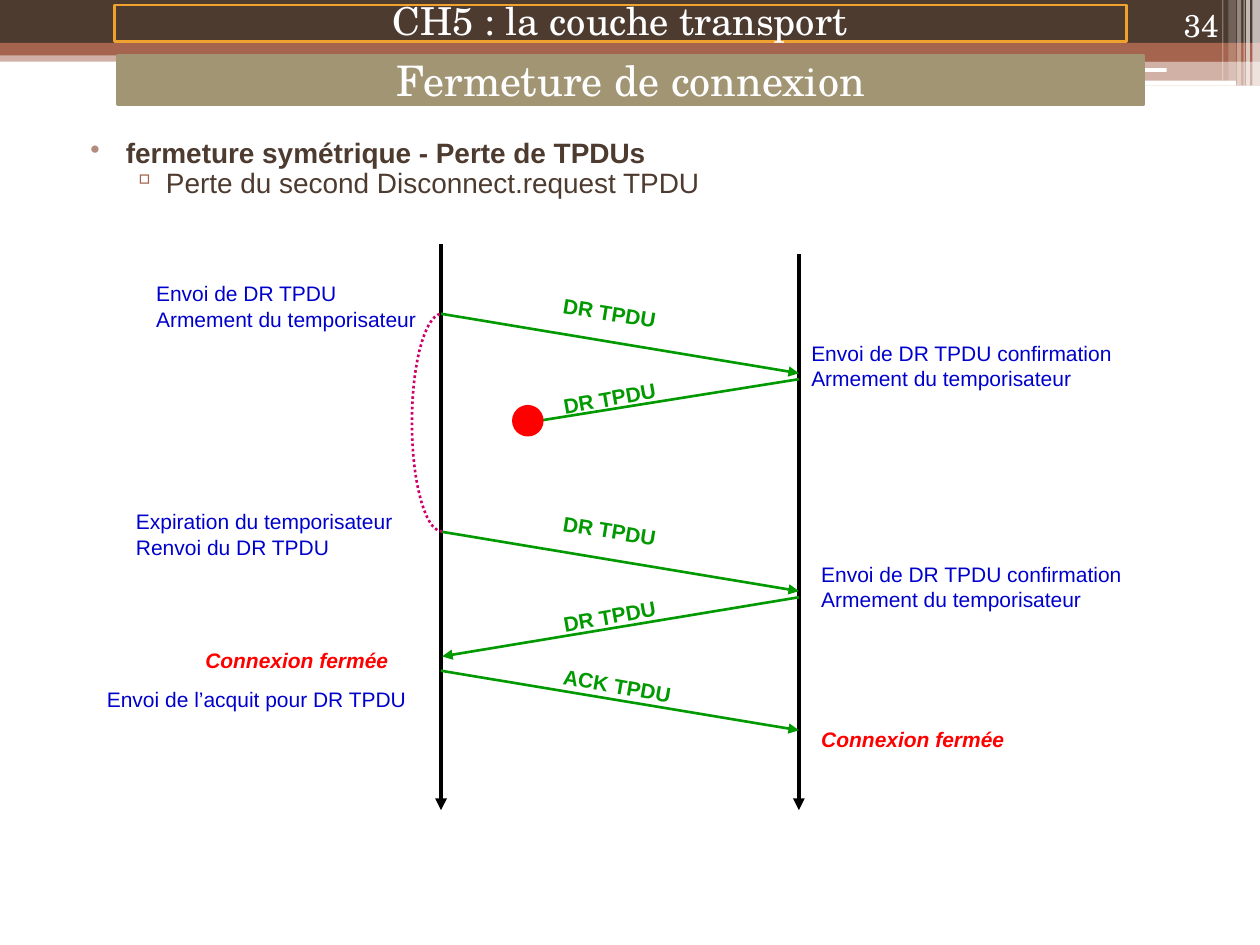
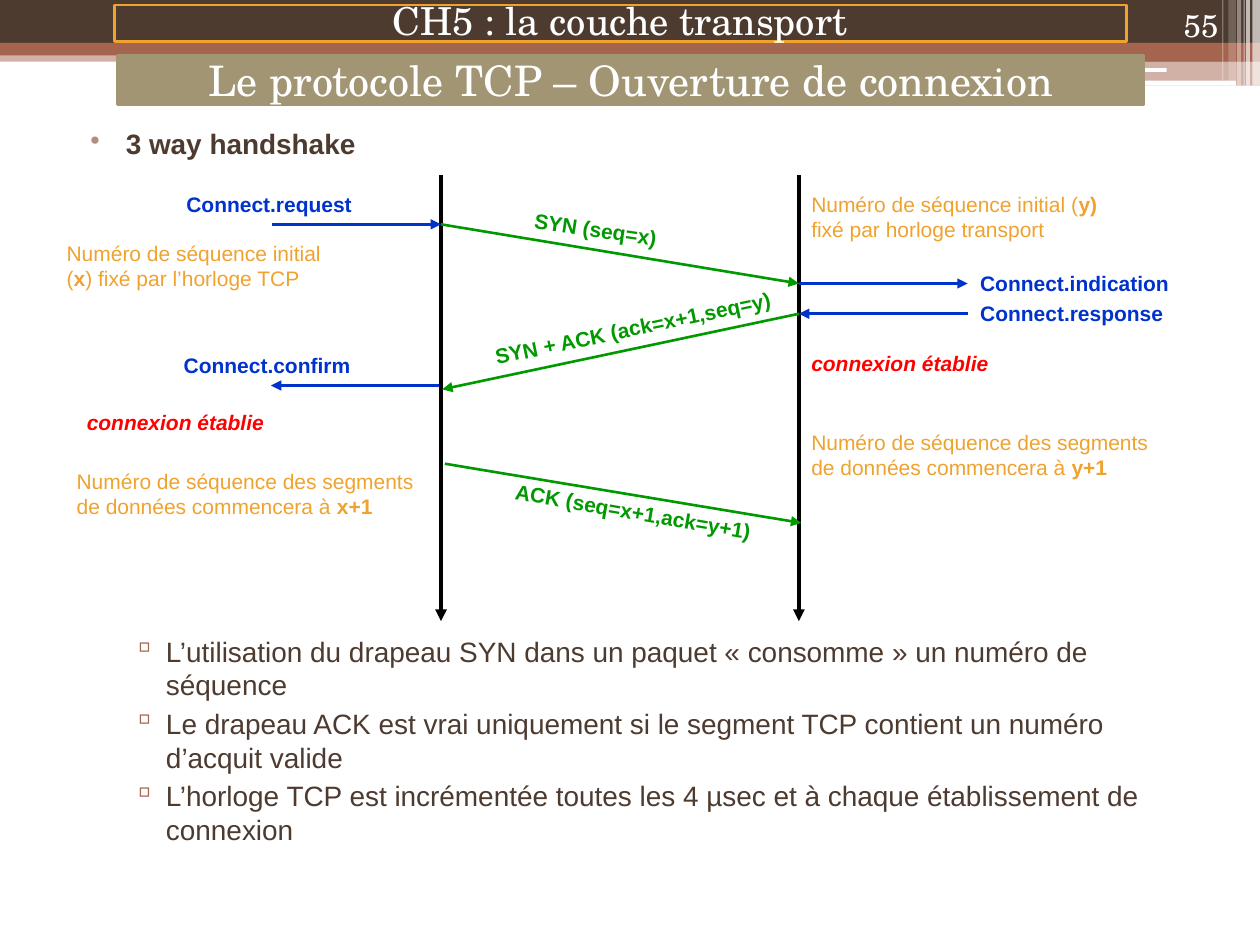
"""Build two course slides about closing and opening transport connections."""
from dataclasses import dataclass

from lxml import etree
from pptx import Presentation
from pptx.dml.color import RGBColor
from pptx.enum.dml import MSO_LINE
from pptx.enum.shapes import MSO_CONNECTOR, MSO_SHAPE
from pptx.enum.text import MSO_ANCHOR, MSO_AUTO_SIZE, PP_ALIGN
from pptx.oxml.ns import qn
from pptx.util import Pt

STRAIGHT = MSO_CONNECTOR.STRAIGHT
RECTANGLE, ROUNDED = MSO_SHAPE.RECTANGLE, MSO_SHAPE.ROUNDED_RECTANGLE
OVAL, ARC = MSO_SHAPE.OVAL, MSO_SHAPE.ARC
DOTTED = MSO_LINE.ROUND_DOT
TOP, MIDDLE, BOTTOM = MSO_ANCHOR.TOP, MSO_ANCHOR.MIDDLE, MSO_ANCHOR.BOTTOM
LEFT, CENTER, RIGHT = PP_ALIGN.LEFT, PP_ALIGN.CENTER, PP_ALIGN.RIGHT
NO_AUTOFIT = MSO_AUTO_SIZE.NONE
TITLE_ONLY = 5

COLORS = {
    "brown": "4E3B30", "rust": "A5644E", "rose": "B58B80", "khaki": "A19574",
    "amber": "F0A22E", "white": "FFFFFF", "black": "000000", "green": "009900",
    "navy": "0000CC", "blue": "0033CC", "red": "FF0000", "magenta": "CC0066",
}
BODY_FONT, HEAD_FONT = "Arial", "TeX Gyre Schola"
SENDER_X, RECEIVER_X = 252, 456.5
LINE, SINGLE, DOUBLE = 1.5, 21.6, 36


@dataclass(frozen=True)
class Style:
    """Look of a piece of text."""
    color: str
    size: float = 12
    font: str = BODY_FONT
    bold: bool = False
    italic: bool = False


@dataclass(frozen=True)
class Band:
    """Plain rectangle of the header decoration."""
    left: float
    top: float
    width: float
    height: float
    color: str = "white"
    alpha: int = 100
    kind: int = RECTANGLE


@dataclass(frozen=True)
class Label:
    """Text placed beside or along an arrow."""
    text: str
    left: float
    top: float
    width: float
    style: Style
    height: float = SINGLE
    rotation: float = 0
    wrap: bool = False
    strong: str = ""


@dataclass(frozen=True)
class Arrow:
    """Straight line with a head at its end."""
    x1: float
    y1: float
    x2: float
    y2: float
    color: str = "green"
    width: float = LINE


@dataclass(frozen=True)
class Bullet:
    """List item with its indents and mark."""
    text: str
    style: Style
    margin: float
    hanging: float
    mark: str
    mark_color: str


TITLE = Style("white", 24, HEAD_FONT)
COURSE = Style("white", 22, HEAD_FONT)
NUMBER = Style("white", 18, HEAD_FONT)
TOPIC = Style("brown", 16, bold=True)
DETAIL = Style("brown", 16)
ACTION = Style("navy")
SEQUENCE = Style("amber")
MESSAGE = Style("green", bold=True)
PRIMITIVE = Style("blue", bold=True)
STATE = Style("red", bold=True, italic=True)

HEADER = [
    Band(0, 28.8, 720, 6.5, "rust", 50),
    Band(0, 0, 720, 24.5, "brown"),
    Band(0, 24.5, 720, 7.2, "rust"),
    Band(426.2, 28.1, 293.8, 7.2, "rust"),
    Band(426.2, 34.6, 293.8, 14.4, "rust", 50),
    Band(425.5, 38.9, 241.2, 2.2, kind=ROUNDED),
    Band(580.3, 46.1, 126, 2.9, kind=ROUNDED),
    Band(715.7, 0, 4.3, 49, alpha=65),
    Band(712.1, 0, 2.2, 49, alpha=65),
    Band(710.6, 0, 0.7, 49, alpha=60),
    Band(707, 0, 2.2, 49, alpha=40),
    Band(702, 0, 4.3, 46.1, alpha=20),
    Band(698.4, 0, 0.7, 46.1, alpha=30),
]


def rgb(name: str) -> RGBColor:
    """Return the named colour."""
    return RGBColor.from_string(COLORS[name])


def style_span(span, style: Style) -> None:
    """Apply a text style to one run."""
    font = span.font
    font.name, font.size = style.font, Pt(style.size)
    font.bold, font.italic = style.bold, style.italic
    font.color.rgb = rgb(style.color)


def write(frame, text: str, style: Style, align=LEFT, anchor=TOP, wrap=True) -> None:
    """Fill a text frame with uniformly styled text."""
    frame.text = text
    frame.auto_size, frame.word_wrap = NO_AUTOFIT, wrap
    frame.vertical_anchor = anchor
    for para in frame.paragraphs:
        para.alignment = align
        for span in para.runs:
            style_span(span, style)


def add_box(page, left: float, top: float, width: float, height: float):
    """Add a text box measured in points."""
    return page.shapes.add_textbox(Pt(left), Pt(top), Pt(width), Pt(height))


def add_outline(page, kind, left: float, top: float, width: float, height: float,
                color: str, weight: float = LINE):
    """Add an unfilled, shadowless preset shape with a coloured line."""
    shape = page.shapes.add_shape(kind, Pt(left), Pt(top), Pt(width), Pt(height))
    shape.shadow.inherit = False
    shape.fill.background()
    shape.line.color.rgb = rgb(color)
    shape.line.width = Pt(weight)
    return shape


def add_band(page, band: Band) -> None:
    """Draw one band of the header decoration."""
    shape = add_outline(page, band.kind, band.left, band.top, band.width,
                        band.height, band.color)
    shape.line.fill.background()
    shape.fill.solid()
    shape.fill.fore_color.rgb = rgb(band.color)
    if band.alpha < 100:
        color = shape.element.spPr.find(qn("a:solidFill")).find(qn("a:srgbClr"))
        etree.SubElement(color, qn("a:alpha"), val=str(band.alpha * 1000))


def add_arrow(page, arrow: Arrow) -> None:
    """Draw a straight connector with a triangular head."""
    line = page.shapes.add_connector(STRAIGHT, Pt(arrow.x1), Pt(arrow.y1),
                                     Pt(arrow.x2), Pt(arrow.y2))
    line.line.color.rgb = rgb(arrow.color)
    line.line.width = Pt(arrow.width)
    etree.SubElement(line.line._get_or_add_ln(), qn("a:tailEnd"), type="triangle")
    etree.SubElement(line.element.spPr, qn("a:effectLst"))


def add_label(page, label: Label) -> None:
    """Draw a label, with its strong part in bold."""
    box = add_box(page, label.left, label.top, label.width, label.height)
    box.rotation = label.rotation
    before, strong, after = label.text, "", ""
    if label.strong:
        before, strong, after = label.text.partition(label.strong)
    write(box.text_frame, before, label.style, wrap=label.wrap)
    para = box.text_frame.paragraphs[-1]
    for text in filter(None, (strong, after)):
        span = para.add_run()
        span.text = text
        style_span(span, label.style)
        span.font.bold = text == strong


def topic(text: str) -> Bullet:
    """Return a first-level item."""
    return Bullet(text, TOPIC, 28.8, 20.2, "•", "rose")


def detail(text: str) -> Bullet:
    """Return a second-level item."""
    return Bullet(text, DETAIL, 51.8, 19.4, "▫", "rust")


def add_bullets(page, top: float, height: float, bullets: list[Bullet],
                spacing: float = 1, gap: float = 0) -> None:
    """Draw a bulleted list across the page."""
    frame = add_box(page, 36, top, 648, height).text_frame
    write(frame, "\n".join(item.text for item in bullets), DETAIL, anchor=MIDDLE)
    for index, (para, item) in enumerate(zip(frame.paragraphs, bullets)):
        para.line_spacing = spacing
        if index:
            para.space_before = Pt(gap)
        properties = para._p.get_or_add_pPr()
        properties.set("marL", str(Pt(item.margin)))
        properties.set("indent", str(-Pt(item.hanging)))
        color = etree.SubElement(properties, qn("a:buClr"))
        etree.SubElement(color, qn("a:srgbClr"), val=COLORS[item.mark_color])
        etree.SubElement(properties, qn("a:buChar"), char=item.mark)
        style_span(para.runs[0], item.style)


def add_page(deck, title: str, number: str):
    """Add a slide with the shared header, title and number."""
    page = deck.slides.add_slide(deck.slide_layouts[TITLE_ONLY])
    for band in HEADER:
        add_band(page, band)
    heading = page.shapes.title
    heading.left, heading.top = Pt(67), Pt(31.7)
    heading.width, heading.height = Pt(586.8), Pt(28.1)
    heading.fill.solid()
    heading.fill.fore_color.rgb = heading.line.color.rgb = rgb("khaki")
    heading.line.width = Pt(LINE)
    write(heading.text_frame, title, TITLE, CENTER, MIDDLE)
    heading.element.getparent().append(heading.element)
    course = add_outline(page, RECTANGLE, 65.5, 2.9, 578.2, 20.9, "amber")
    write(course.text_frame, "CH5 : la couche transport", COURSE, CENTER, MIDDLE)
    course.text_frame.paragraphs[0].line_spacing = 0.9
    corner = add_box(page, 643.7, 0, 59.8, 28.8)
    write(corner.text_frame, number, NUMBER, RIGHT, BOTTOM)
    return page


def add_diagram(page, sender_top: float, receiver_top: float, bottom: float,
                arrows: list[Arrow], labels: list[Label]) -> None:
    """Draw both time axes, the exchanged messages and their labels."""
    axes = [Arrow(x, top, x, bottom, "black", 2.25)
            for x, top in ((SENDER_X, sender_top), (RECEIVER_X, receiver_top))]
    for arrow in axes + arrows:
        add_arrow(page, arrow)
    for label in labels:
        add_label(page, label)


def build_closing(deck) -> None:
    """Build the slide about a lost disconnect request."""
    page = add_page(deck, "Fermeture de connexion", "34")
    add_bullets(page, 65.5, 62.6, [topic("fermeture symétrique - Perte de TPDUs"),
                                   detail("Perte du second Disconnect.request TPDU")], 0.9)
    arrows = [Arrow(SENDER_X, y, RECEIVER_X, y + 34) for y in (179.3, 303.8, 383.3)]
    arrows += [Arrow(RECEIVER_X, 216.7, 298.8, 241.9),
               Arrow(RECEIVER_X, 341.3, SENDER_X + 0.7, 375.1)]
    labels = [Label("DR TPDU", 314.6, top, 67.7, MESSAGE, rotation=angle)
              for top, angle in ((167.8, 9.2), (216.7, 350), (292.3, 9.2), (341.3, 350))]
    confirmation = "Envoi de DR TPDU confirmation\nArmement du temporisateur"
    labels += [Label(confirmation, left, top, 226.8, ACTION, DOUBLE, wrap=True)
               for left, top in ((456.5, 190.8), (462.2, 317.5))]
    labels += [
        Label("ACK TPDU", 314.6, 380.9, 76.3, MESSAGE, rotation=9.9),
        Label("Envoi de DR TPDU\nArmement du temporisateur", 82.1, 157, 170, ACTION,
              DOUBLE, wrap=True),
        Label("Expiration du temporisateur\nRenvoi du DR TPDU", 70.6, 287.3, 181.4,
              ACTION, DOUBLE, wrap=True),
        Label("Envoi de l’acquit pour DR TPDU", 54, 388.8, 198.7, ACTION, wrap=True),
        Label("Connexion fermée", 110.2, 366.5, 118.8, STATE),
        Label("Connexion fermée", 462.2, 411.8, 118.8, STATE),
    ]
    add_diagram(page, 139.7, 145.4, 463, arrows, labels)
    loss = add_outline(page, OVAL, 293, 231.8, 17.3, 17.3, "red", 0.75)
    loss.fill.solid()
    loss.fill.fore_color.rgb = rgb("red")
    timer = add_outline(page, ARC, 235.4, 179.3, 34.6, 124.5, "magenta")
    timer.adjustments[0], timer.adjustments[1] = 54, 162
    timer.line.dash_style = DOTTED


def build_opening(deck) -> None:
    """Build the slide about the three way handshake."""
    page = add_page(deck, "Le protocole TCP – Ouverture de connexion", "55")
    add_bullets(page, 68, 30, [topic("3 way handshake")], 0.9)
    add_bullets(page, 358, 130, [
        detail("L’utilisation du drapeau SYN dans un paquet « consomme » un numéro de séquence"),
        detail("Le drapeau ACK est vrai uniquement si le segment TCP contient un numéro d’acquit valide"),
        detail("L’horloge TCP est incrémentée toutes les 4 µsec et à chaque établissement de connexion"),
    ], gap=3)
    arrows = [
        Arrow(SENDER_X, 128.2, RECEIVER_X, 162),
        Arrow(RECEIVER_X, 179.3, SENDER_X + 0.7, 222.5),
        Arrow(254.2, 265, 457.9, 298.8),
        Arrow(155.5, 128.2, SENDER_X, 128.2, "blue"),
        Arrow(250.6, 220.3, 154.8, 220.3, "blue"),
        Arrow(RECEIVER_X, 162, 553, 162, "blue"),
        Arrow(553, 179.3, RECEIVER_X, 179.3, "blue"),
    ]
    data_start = "Numéro de séquence des segments de données commencera à "
    labels = [Label(data_start + value, left, top, 209.5, SEQUENCE, DOUBLE,
                    wrap=True, strong=value)
              for value, left, top in (("x+1", 36.7, 264.2), ("y+1", 456.5, 241.9))]
    labels += [Label("connexion établie", left, top, 115.9, STATE)
               for left, top in ((42.5, 230.4), (456.5, 196.6))]
    labels += [
        Label("SYN (seq=x)", 298.1, 120.2, 85, MESSAGE, rotation=8.5),
        Label("SYN + ACK (ack=x+1,seq=y)", 274.3, 176.4, 175, MESSAGE, rotation=348.1),
        Label("ACK (seq=x+1,ack=y+1)", 286.6, 281.5, 150.5, MESSAGE, rotation=9.9, wrap=True),
        Label("Numéro de séquence initial (x) fixé par l’horloge TCP", 31, 133.9, 172,
              SEQUENCE, DOUBLE, wrap=True, strong="x"),
        Label("Numéro de séquence initial (y) fixé par horloge transport", 456.5, 105.8,
              181.4, SEQUENCE, DOUBLE, wrap=True, strong="y)"),
        Label("Connect.request", 99.4, 105.8, 109.4, PRIMITIVE),
        Label("Connect.confirm", 97.9, 198, 110.2, PRIMITIVE),
        Label("Connect.indication", 553, 151.2, 122.4, PRIMITIVE),
        Label("Connect.response", 553, 168, 118.8, PRIMITIVE),
    ]
    add_diagram(page, 100, 100, 355, arrows, labels)


def main() -> None:
    """Build and save the deck."""
    deck = Presentation()
    deck.slide_width, deck.slide_height = Pt(720), Pt(540)
    build_closing(deck)
    build_opening(deck)
    deck.save("out.pptx")


if __name__ == "__main__":
    main()
